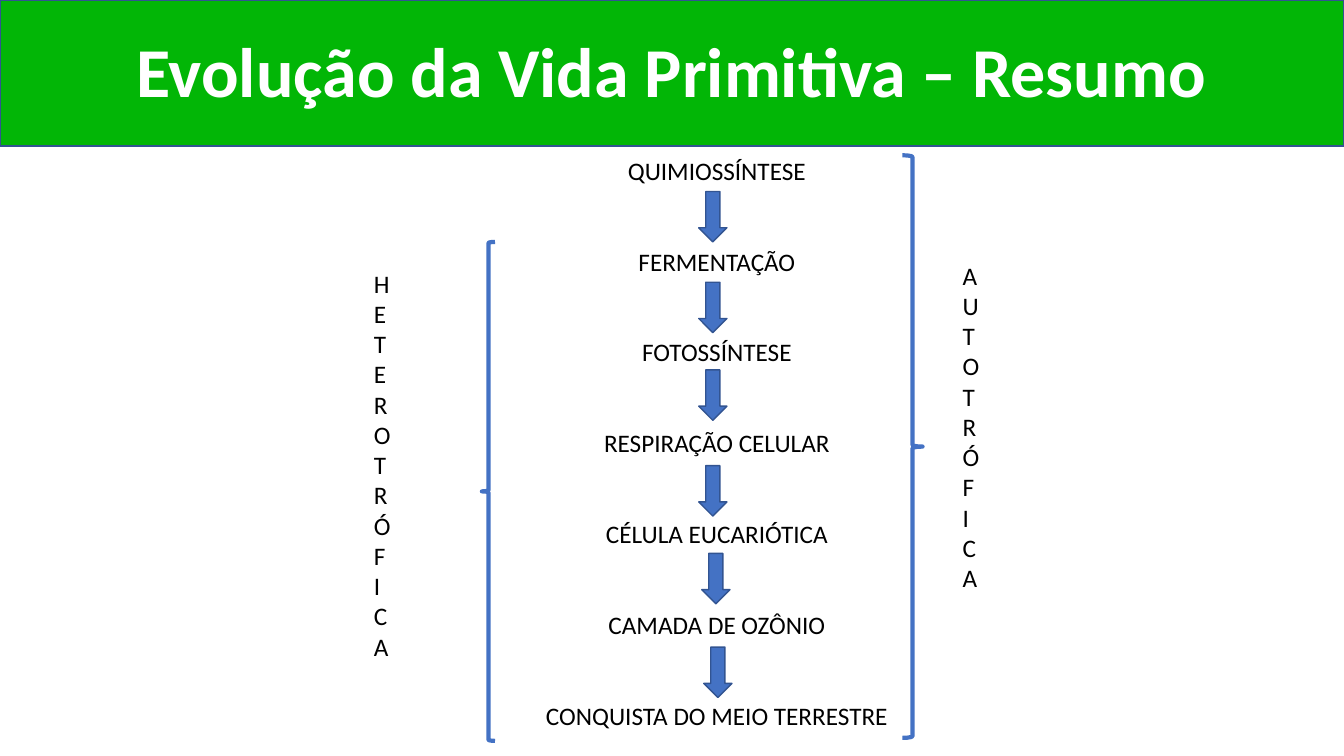
from dataclasses import dataclass

from pptx import Presentation
from pptx.dml.color import RGBColor
from pptx.enum.shapes import MSO_SHAPE
from pptx.enum.text import MSO_ANCHOR, MSO_AUTO_SIZE, PP_ALIGN
from pptx.shapes.autoshape import Shape
from pptx.slide import Slide
from pptx.text.text import TextFrame
from pptx.util import Inches, Pt

FONT = "Calibri"
GREEN, BLUE, DARK_BLUE = "02B606", "4472C4", "325491"
BLACK, WHITE = "000000", "FFFFFF"

STAGES = [
    "QUIMIOSSÍNTESE",
    "FERMENTAÇÃO",
    "FOTOSSÍNTESE",
    "RESPIRAÇÃO CELULAR",
    "CÉLULA EUCARIÓTICA",
    "CAMADA DE OZÔNIO",
    "CONQUISTA DO MEIO TERRESTRE",
]


@dataclass
class Box:
    left: float
    top: float
    width: float
    height: float

    def emu(self) -> tuple[int, int, int, int]:
        return (Inches(self.left), Inches(self.top),
                Inches(self.width), Inches(self.height))


@dataclass
class Group:
    """A vertical label and the brace that spans its stages."""
    name: str
    label: Box
    brace: Box
    rotation: int


ARROWS = [
    Box(left, top, 0.28, 0.5)
    for left, top in [(6.93, 1.9), (6.93, 2.8), (6.93, 3.67),
                      (6.93, 4.62), (6.96, 5.49), (6.98, 6.42)]
]
GROUPS = [
    Group("HETEROTRÓFICA", Box(3.61, 2.61, 0.56, 4.76),
          Box(4.78, 2.4, 0.13, 4.95), 0),
    Group("AUTOTRÓFICA", Box(9.45, 2.53, 0.56, 4.04),
          Box(8.95, 1.54, 0.2, 5.78), 180),
]


def rgb(color: str) -> RGBColor:
    return RGBColor.from_string(color)


def add_shape(s: Slide, kind: MSO_SHAPE, box: Box, fill: str | None,
              line: str, weight: float) -> Shape:
    sp = s.shapes.add_shape(kind, *box.emu())
    sp.shadow.inherit = False
    if fill:
        sp.fill.solid()
        sp.fill.fore_color.rgb = rgb(fill)
    else:
        sp.fill.background()
    sp.line.color.rgb = rgb(line)
    sp.line.width = Pt(weight)
    return sp


def format_runs(tf: TextFrame, size: float, color: str,
                bold: bool = False) -> None:
    for p in tf.paragraphs:
        for r in p.runs:
            r.font.name = FONT
            r.font.size = Pt(size)
            r.font.bold = bold
            r.font.color.rgb = rgb(color)


def add_text(s: Slide, text: str, box: Box) -> TextFrame:
    tf = s.shapes.add_textbox(*box.emu()).text_frame
    tf.word_wrap = False
    tf.auto_size = MSO_AUTO_SIZE.SHAPE_TO_FIT_TEXT
    tf.text = text
    format_runs(tf, 18, BLACK)
    return tf


def add_title(s: Slide, text: str) -> None:
    title = s.shapes.title
    banner = add_shape(s, MSO_SHAPE.RECTANGLE, Box(0, 0, 13.33, 1.45),
                       GREEN, DARK_BLUE, 1)
    title.element.addprevious(banner.element)
    title.left, title.top, title.width, title.height = Box(
        0, 0.02, 13.33, 1.45).emu()
    tf = title.text_frame
    tf.text = text
    tf.auto_size = MSO_AUTO_SIZE.NONE
    tf.vertical_anchor = MSO_ANCHOR.MIDDLE
    p = tf.paragraphs[0]
    p.alignment = PP_ALIGN.CENTER
    p.line_spacing = 0.9
    format_runs(tf, 50, WHITE, bold=True)


def add_stages(s: Slide) -> None:
    tf = add_text(s, "\n".join(STAGES), Box(5.3, 1.49, 3.62, 5.86))
    for i, p in enumerate(tf.paragraphs):
        p.alignment = PP_ALIGN.CENTER
        if i:
            p.space_before = Pt(43.25)
    for arrow in ARROWS:
        add_shape(s, MSO_SHAPE.DOWN_ARROW, arrow, BLUE, DARK_BLUE, 1)


def add_group(s: Slide, group: Group) -> None:
    brace = add_shape(s, MSO_SHAPE.LEFT_BRACE, group.brace, None, BLUE, 3)
    brace.rotation = group.rotation
    tf = add_text(s, group.name, group.label)
    tf._txBody.bodyPr.set("vert", "wordArtVert")


def main() -> None:
    prs = Presentation()
    prs.slide_width, prs.slide_height = Inches(13.33), Inches(7.5)
    s = prs.slides.add_slide(prs.slide_layouts[5])
    add_title(s, "Evolução da Vida Primitiva – Resumo")
    add_stages(s)
    for group in GROUPS:
        add_group(s, group)
    prs.save("out.pptx")


if __name__ == "__main__":
    main()
